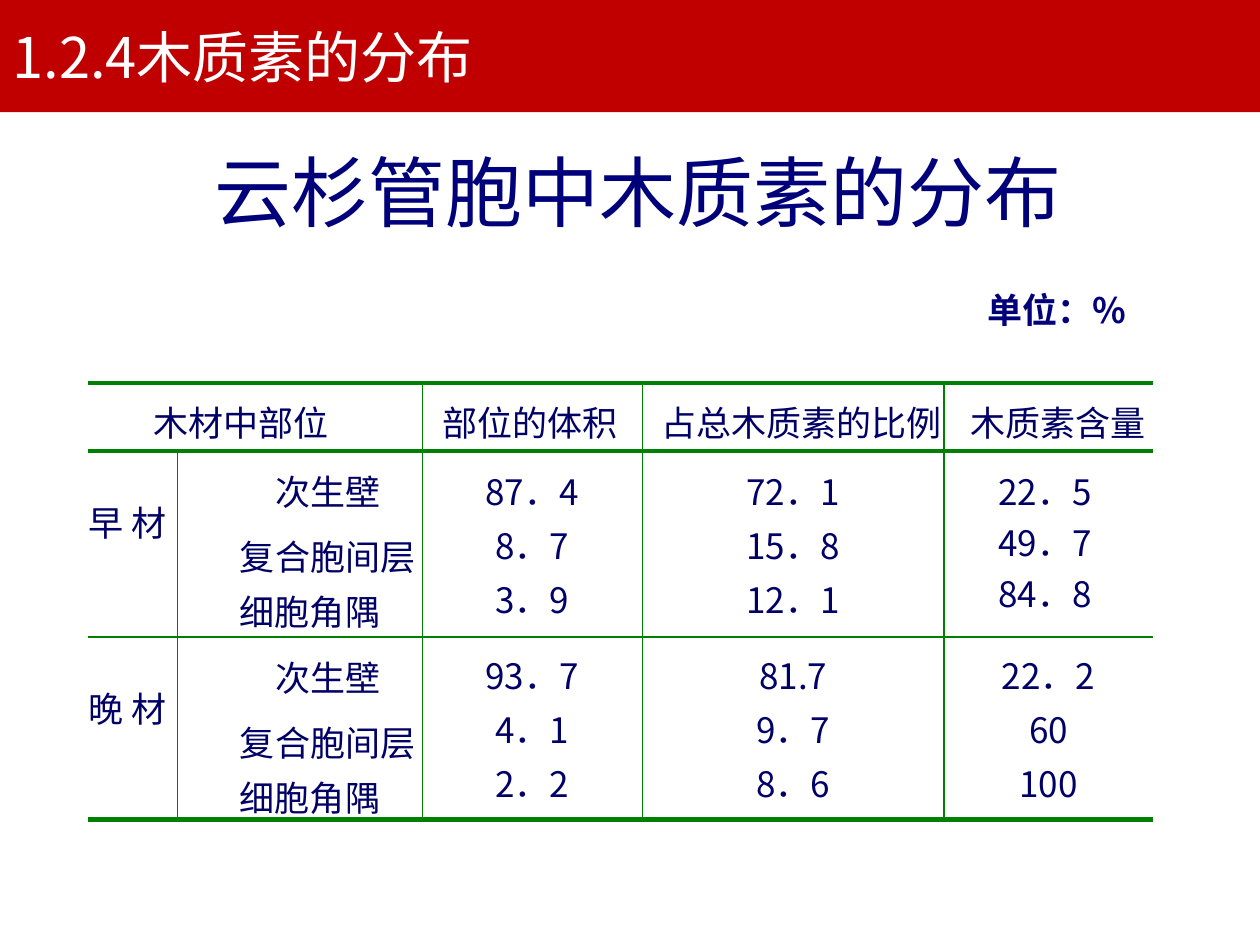
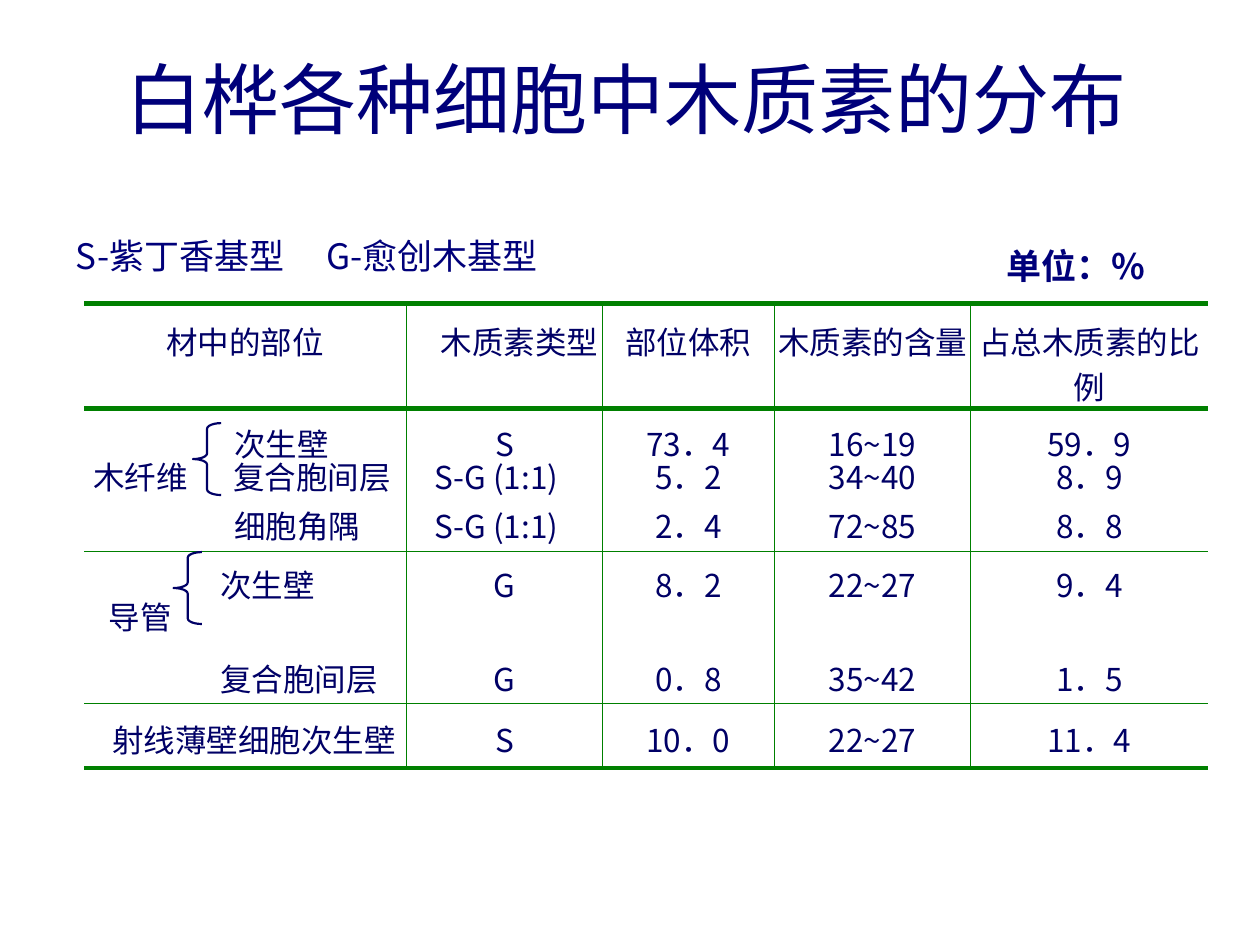
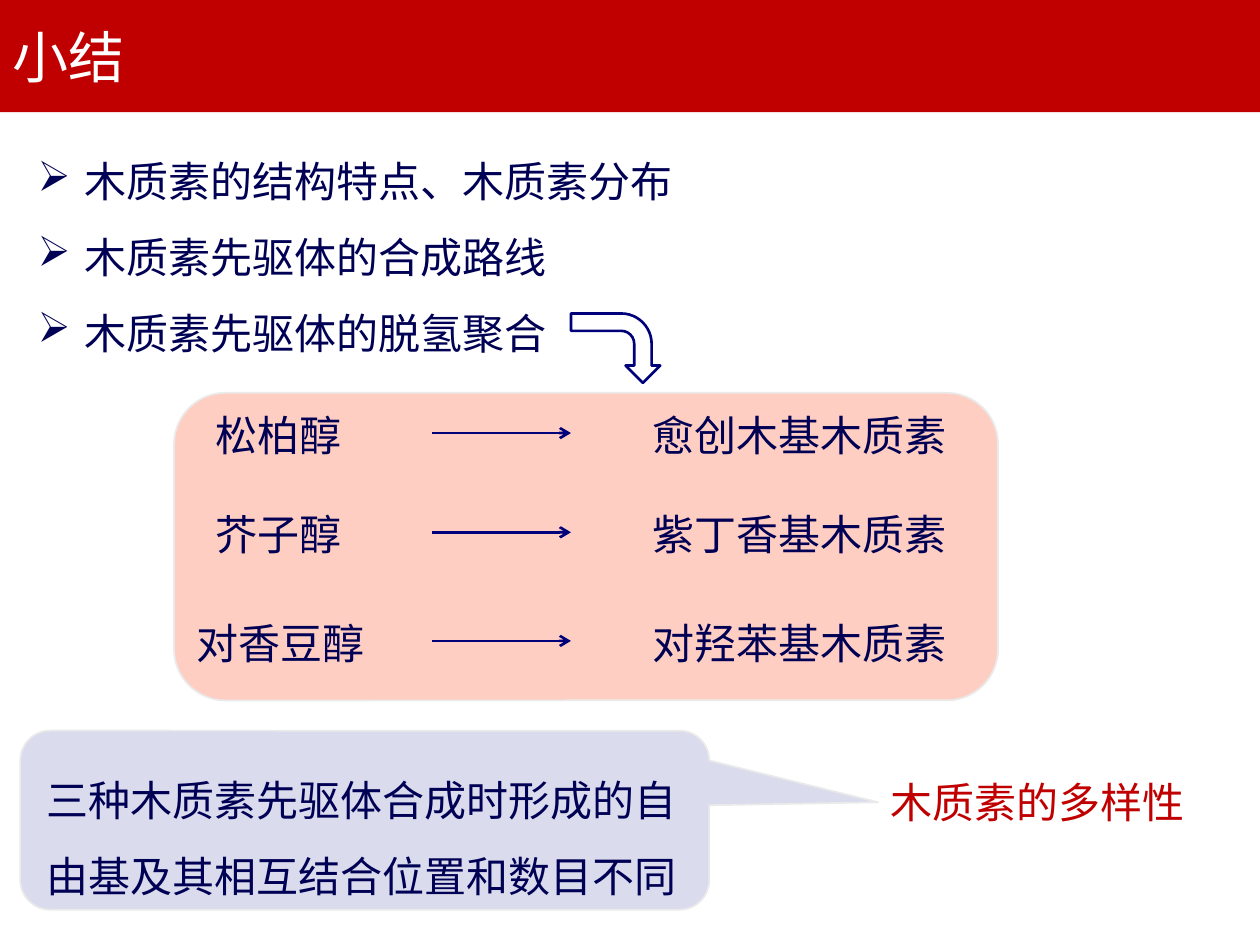
"""Build three slides on how lignin is distributed in wood."""
from lxml import etree
from pptx import Presentation
from pptx import util as u
from pptx.dml import color
from pptx.enum import shapes, text
from pptx.oxml import ns

FONT = "Noto Sans CJK SC"
HEX = {"band": "C00000", "white": "FFFFFF", "title": "00007A", "cell": "000066", "body": "000054",
       "rule": "008000", "card": "FF3300", "callout": "DADBED", "edge": "EAEAEA"}
RGB = {k: color.RGBColor.from_string(v) for k, v in HEX.items()}
CENTER = text.PP_ALIGN.CENTER
THICK, THIN = 3, 0.75


def write(holder, words, size, ink, margin=None, bold=False, align=None, gap=0, indent=0):
    """Fill a text box or a cell; words hold one paragraph a line."""
    tf = holder.text_frame
    tf.word_wrap = True
    if margin is not None:
        tf.margin_left = tf.margin_right = tf.margin_top = tf.margin_bottom = u.Cm(margin)
    tf.text = words
    for i, p in enumerate(tf.paragraphs):
        p.font.size, p.font.name, p.font.bold = u.Pt(size), FONT, bold
        p.font.color.rgb = RGB[ink]
        etree.SubElement(p.font._element, ns.qn("a:ea"), typeface=FONT)
        if align is not None:
            p.alignment = align
        if i and gap:
            p.space_before = u.Pt(gap)
        if indent:
            p._p.get_or_add_pPr().set("marL", str(u.Cm(indent)))
    return tf


def add_grid(s, left, top, widths, rows, rules, size, first_rule):
    """Add a ruled table; a row is (height, top margin, cells), a cell is text or (text, indent)."""
    heights = [row[0] for row in rows]
    tbl = s.shapes.add_table(len(rows), len(widths), u.Cm(left), u.Cm(top),
                             u.Cm(sum(widths)), u.Cm(sum(heights))).table
    tbl.first_row = tbl.horz_banding = False
    for col, width in zip(tbl.columns, widths):
        col.width = u.Cm(width)
    for r, (height, pad, cells) in enumerate(rows):
        tbl.rows[r].height = u.Cm(height)
        for c, item in enumerate(cells):
            cell = tbl.cell(r, c)
            cell.margin_left = cell.margin_right = cell.margin_bottom = 0
            cell.margin_top = u.Cm(pad)
            if isinstance(item, tuple):
                write(cell, item[0], size, "cell", indent=item[1])
            elif item:
                write(cell, item, size, "cell", align=CENTER, gap=1.9)
            elif item is None:
                tbl.cell(r, c - 1).merge(cell)
            cell.fill.background()
            sides = {"lnL": THIN if c >= first_rule else 0,
                     "lnR": THIN if first_rule <= c + 1 < len(widths) else 0,
                     "lnT": rules[r], "lnB": rules[r + 1]}
            tcPr = cell._tc.get_or_add_tcPr()
            for i, (side, width) in enumerate(sides.items()):
                ln = etree.Element(ns.qn("a:" + side), w=str(u.Pt(width)))
                fill = etree.SubElement(ln, ns.qn("a:solidFill" if width else "a:noFill"))
                if width:
                    etree.SubElement(fill, ns.qn("a:srgbClr"), val=HEX["rule"])
                tcPr.insert(i, ln)
    return tbl


prs = Presentation()
prs.slide_width, prs.slide_height = u.Cm(25.4), u.Cm(19.05)
slides = []
for heading in ("1.2.4木质素的分布", None, "小结"):
    s = prs.slides.add_slide(prs.slide_layouts[6])
    slides.append(s)
    if heading:
        band = s.shapes.add_shape(shapes.MSO_SHAPE.RECTANGLE, 0, 0, prs.slide_width, u.Cm(2.26))
        band.shadow.inherit = False
        band.fill.solid()
        band.fill.fore_color.rgb = RGB["band"]
        band.line.fill.background()
        write(s.shapes.add_textbox(0, u.Cm(0.33), u.Cm(25.1), u.Cm(1.62)), heading, 32, "white")
spruce, birch, summary = slides

for s, left, top, width, words in ((spruce, 4.32, 2.92, 17.65, "云杉管胞中木质素的分布"),
                                   (birch, 2.54, 1.04, 21.46, "白桦各种细胞中木质素的分布")):
    write(s.shapes.add_textbox(u.Cm(left), u.Cm(top), u.Cm(width), u.Cm(1.91)), words, 44, "title", 0)
for s, left, top in ((spruce, 19.91, 5.82), (birch, 20.29, 4.93)):
    write(s.shapes.add_textbox(u.Cm(left), u.Cm(top), u.Cm(4), u.Cm(0.89)),
          "单位：%", 20, "title", 0, bold=True)

rows = [
    (1.37, 0.25, [("木材中部位", 1.32), None, ("部位的体积", 0.41), ("占总木质素的比例", 0.38), ("木质素含量", 0.53)]),
    (3.75, 0.28, [("早 材", 0), "次生壁\n复合胞间层 细胞角隅", "87．4\n8．7\n3．9",
                  "72．1\n15．8\n12．1", ("22．5\n49．7\n84．8", 1.09)]),
    (3.68, 0.23, [("晚 材", 0), "次生壁\n复合胞间层细胞角隅", "93．7\n4．1\n2．2",
                  "81.7\n9．7\n8．6", "22．2\n60\n100"]),
]
tbl = add_grid(spruce, 1.78, 7.72, [1.8, 4.93, 4.44, 6.08, 4.22], rows, [THICK, THICK, THIN, THICK], 20, 1)
for r in (1, 2):
    tbl.cell(r, 0).margin_top = u.Cm(0.9)
    tbl.cell(r, 1).margin_top = u.Cm(0.19)
    for i, p in enumerate(tbl.cell(r, 1).text_frame.paragraphs):
        p.line_spacing = 1.09
        p.space_before = u.Pt(5.4 * i)
        p._p.pPr.set("marL", str(u.Cm(0.41)))
        p._p.pPr.set("indent", str(u.Cm(0.71)))

rows = [
    (2.12, 0.28, [("材中的部位", 1.65), None, ("木质素类型", 0.69), "部位体积", "木质素的含量", "占总木质素的比例"]),
    (1.17, 0.23, ["", ("次生壁", 0.76), "S", "73．4", "16~19", "59．9"]),
    (0.71, 0, ["木纤维", ("复合胞间层", 0.74), ("S-G (1:1)", 0.56), "5．2", "34~40", "8．9"]),
    (0.99, 0, ["", ("细胞角隅", 0.76), ("S-G (1:1)", 0.56), "2．4", "72~85", "8．8"]),
    (1.12, 0.2, ["", ("次生壁", 0.48), "G", "8．2", "22~27", "9．4"]),
    (0.98, 0, ["导管", "", "", "", "", ""]),
    (0.97, 0, ["", ("复合胞间层", 0.48), "G", "0．8", "35~42", "1．5"]),
    (1.3, 0.25, [("射线薄壁细胞次生壁", 0.56), None, "S", "10．0", "22~27", "11．4"]),
]
tbl = add_grid(birch, 1.7, 6.12, [2.26, 4.24, 3.94, 3.48, 3.94, 4.8], rows,
               [THICK, THICK, 0, 0, THIN, 0, 0, THIN, THICK], 18, 2)
for cell in [*tbl.rows[2].cells, tbl.cell(5, 0)]:
    cell.text_frame.paragraphs[0].line_spacing = u.Pt(18.4)

for left, top in ((3.89, 8.53), (3.5, 11.13)):
    brace = birch.shapes.add_shape(shapes.MSO_SHAPE.LEFT_BRACE, u.Cm(left), u.Cm(top), u.Cm(0.57), u.Cm(1.45))
    brace.adjustments[0] = 0.2
    brace.shadow.inherit = False
    brace.fill.background()
    brace.line.color.rgb, brace.line.width = RGB["cell"], u.Pt(1.25)

tf = write(birch.shapes.add_textbox(u.Cm(1.53), u.Cm(4.72), u.Cm(11.35), u.Cm(0.89)),
           "S-紫丁香基型\tG-愈创木基型", 20, "title", 0)
tabs = etree.Element(ns.qn("a:tabLst"))
etree.SubElement(tabs, ns.qn("a:tab"), pos=str(u.Cm(5.05)), algn="l")
tf.paragraphs[0].font._element.addprevious(tabs)

for kind, box, adjust, fill in (
        (shapes.MSO_SHAPE.ROUNDED_RECTANGLE, (3.51, 7.92, 16.61, 6.2), [0.167], "card"),
        (shapes.MSO_SHAPE.ROUNDED_RECTANGULAR_CALLOUT, (0.41, 14.73, 13.89, 3.61), [0.745, -0.1, 0.167], "callout")):
    sp = summary.shapes.add_shape(kind, *map(u.Cm, box))
    for i, value in enumerate(adjust):
        sp.adjustments[i] = value
    sp.shadow.inherit = False
    sp.fill.solid()
    sp.fill.fore_color.rgb = RGB[fill]
    sp.line.color.rgb, sp.line.width = RGB["edge"], u.Pt(1)
    if fill == "card":
        tint = sp._element.spPr.find(ns.qn("a:solidFill"))[0]
        etree.SubElement(tint, ns.qn("a:alpha"), val="24000")

points = "木质素的结构特点、木质素分布\n木质素先驱体的合成路线\n木质素先驱体的脱氢聚合"
tf = write(summary.shapes.add_textbox(u.Cm(0.51), u.Cm(2.51), u.Cm(13.44), u.Cm(4.7)), points, 24, "body")
for p in tf.paragraphs:
    p.line_spacing = 1.5
    p._p.pPr.set("marL", str(u.Cm(0.95)))
    p._p.pPr.set("indent", str(u.Cm(-0.95)))
    bullet = etree.Element(ns.qn("a:buChar"), char="➢")
    p.font._element.addprevious(bullet)

for top, left, width, alcohol, lignin in ((8.13, 4.09, 3.1, "松柏醇", "愈创木基木质素"),
                                          (10.13, 4.09, 3.1, "芥子醇", "紫丁香基木质素"),
                                          (12.32, 3.71, 3.94, "对香豆醇", "对羟苯基木质素")):
    write(summary.shapes.add_textbox(u.Cm(left), u.Cm(top), u.Cm(width), u.Cm(1.28)), alcohol, 24, "body")
    write(summary.shapes.add_textbox(u.Cm(12.9), u.Cm(top), u.Cm(6.5), u.Cm(1.28)), lignin, 24, "body")
    y = u.Cm(top + 0.6)
    arrow = summary.shapes.add_connector(shapes.MSO_CONNECTOR.STRAIGHT, u.Cm(8.71), y, u.Cm(11.51), y)
    arrow.line.color.rgb, arrow.line.width = RGB["title"], u.Pt(1.5)
    etree.SubElement(arrow.line._get_or_add_ln(), ns.qn("a:tailEnd"), type="arrow")
    etree.SubElement(arrow._element.spPr, ns.qn("a:effectLst"))

write(summary.shapes.add_textbox(u.Cm(17.7), u.Cm(15.52), u.Cm(6.5), u.Cm(1.28)), "木质素的多样性", 24, "band")
tf = write(summary.shapes.add_textbox(u.Cm(0.69), u.Cm(14.99), u.Cm(13.41), u.Cm(3.15)),
           "三种木质素先驱体合成时形成的自由基及其相互结合位置和数目不同", 24, "body")
tf.paragraphs[0].line_spacing = 1.5

turn = summary.shapes.add_shape(shapes.MSO_SHAPE.BENT_ARROW, u.Cm(11.71), u.Cm(6.12), u.Cm(1.4), u.Cm(1.8))
turn.rotation = 90
turn.shadow.inherit = False
turn.fill.background()
turn.line.color.rgb, turn.line.width = RGB["title"], u.Pt(1.5)

prs.save("out.pptx")
